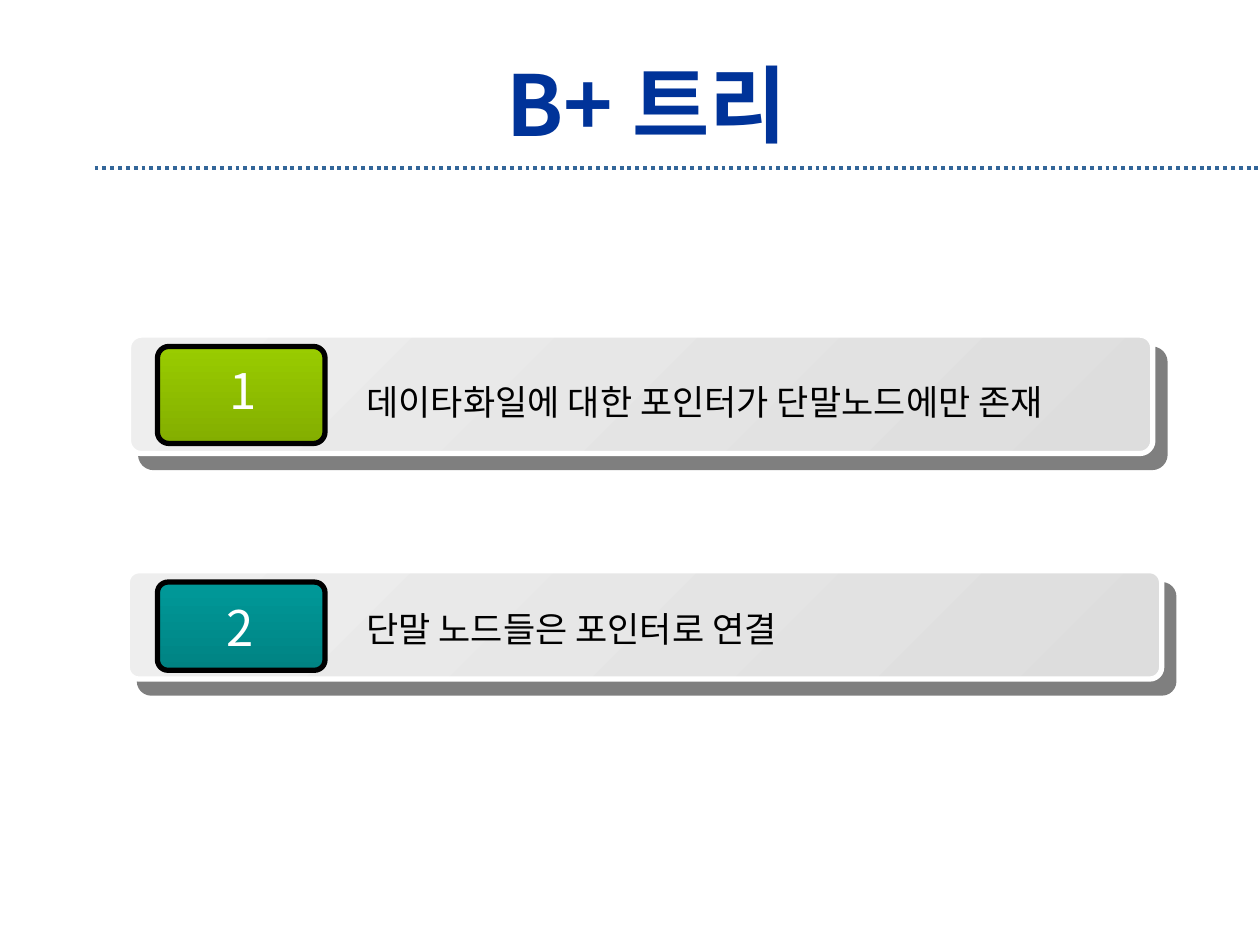
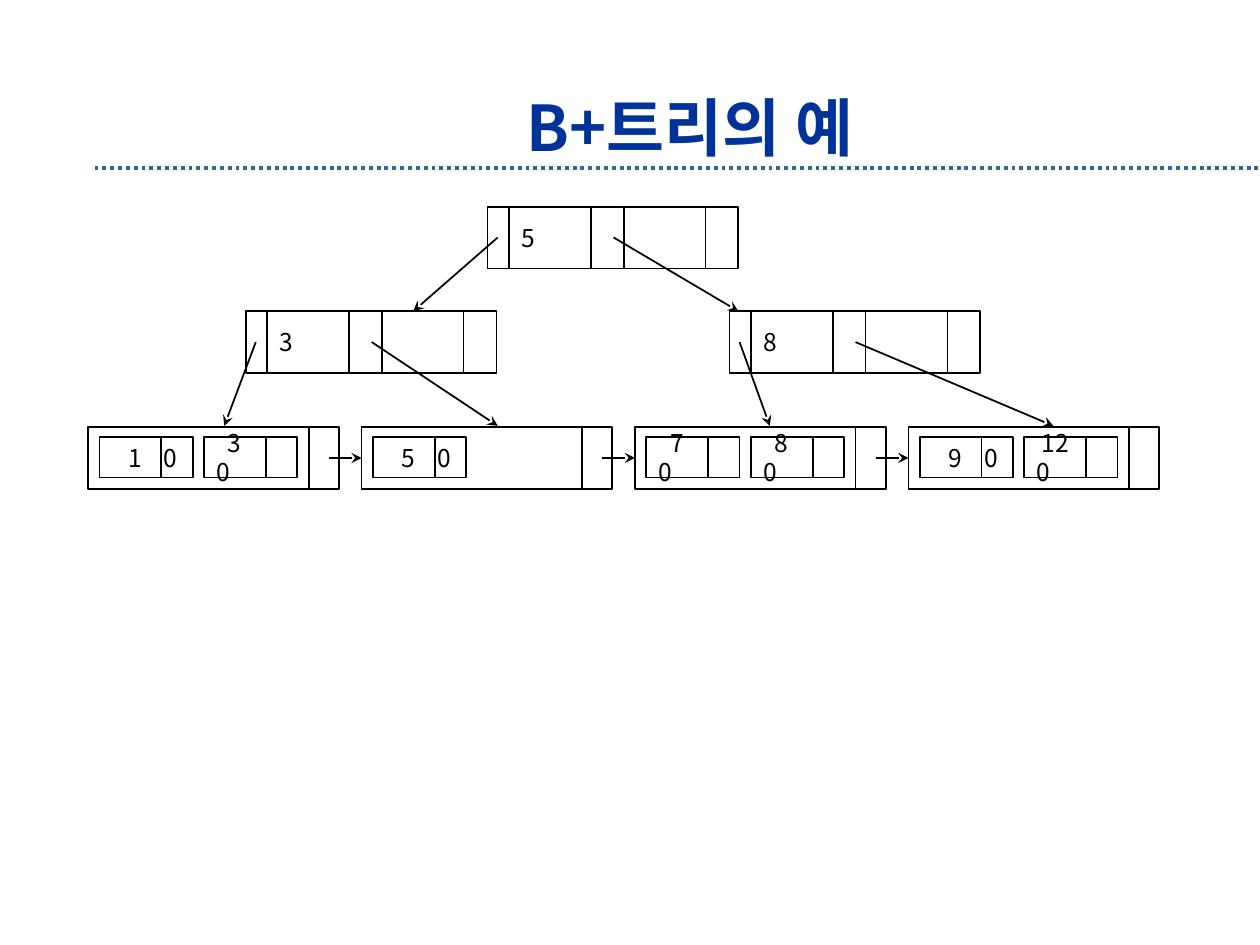
import pptx
import pptx.dml.color
import pptx.enum.dml
import pptx.enum.shapes
import pptx.enum.text
import pptx.oxml.ns
import pptx.util
from lxml import etree

Inches, Pt = pptx.util.Inches, pptx.util.Pt
KIND = pptx.enum.shapes.MSO_SHAPE
ANCHOR = pptx.enum.text.MSO_ANCHOR
ALIGN = pptx.enum.text.PP_ALIGN

# Content: titles, bars, tree
TITLES = [
    dict(text="B+ 트리", box=(0.55, 0.31, 9.17, 1.02), size="head", anchor=ANCHOR.MIDDLE),
    dict(text="B+트리의 예", box=(2.27, 0.47, 6.41, 0.63), size="subhead",
         anchor=ANCHOR.TOP, spacing=1.3),
]
BARS = [
    dict(num="1", text="데이타화일에 대한 포인터가 단말노드에만 존재", fill=("99CC00", "83AE00"),
         bar=(1.02, 2.66, 8.13, 0.94), badge=(1.25, 2.75, 1.33, 0.77),
         digit=(1.72, 2.81, 0.43, 0.34), label=(2.81, 2.97, 6.51, 0.44)),
    dict(num="2", text="단말 노드들은 포인터로 연결", fill=("009999", "008383"),
         bar=(1.01, 4.53, 8.21, 0.86), badge=(1.25, 4.62, 1.33, 0.7),
         digit=(1.7, 4.69, 0.43, 0.31), label=(2.81, 4.77, 6.51, 0.44)),
]
# Corner gleam: start point, then curves (three points) and lines (one point)
GLEAM = [(1.93, 2.62),
         [(1.86, 2.62), (1.8, 2.68), (1.8, 2.75)],
         [(1.8, 3.26)],
         [(1.83, 3.27), (1.81, 2.95), (1.98, 2.81)],
         [(2.14, 2.66), (2.46, 2.65), (2.45, 2.62)]]
# Inner nodes: key, left, top, ends of the two arrows
NODES = [
    ("5", 3.87, 1.64, [(3.28, 2.47), (5.86, 2.47)]),
    ("3", 1.95, 2.47, [(1.78, 3.38), (3.95, 3.38)]),
    ("8", 5.79, 2.47, [(6.11, 3.38), (8.36, 3.38)]),
]
# Leaf entries: key, pointer, indent of the key, tab of the pointer
LEAVES = [
    [("1", "0", 0.13, 0.37), ("3", "0", 0.09, 0.37)],
    [("5", "0", 0.13, 0.37)],
    [("7", "0", 0.09, 0.37), ("8", "0", 0.09, 0.33)],
    [("9", "0", 0.13, 0.37), ("12", "0", 0.04, 0.39)],
]

# Sizes of the tree, in inches
NODE_W, NODE_H = 1.99, 0.49
KEY_W, KEY_AT = 0.65, (0.17, 1.08)
PTR_AT = (0.08, 1.0)
LEAF_X, LEAF_Y, LEAF_STEP = 0.7, 3.39, 2.17
CELL_W, CELL_H, CELL_X, CELL_Y, CELL_STEP = 0.74, 0.32, 0.09, 0.08, 0.83
CELL_CUT, LEAF_CUT, LINK_X = 0.49, 1.75, 1.91


class Theme:
    font = "Noto Sans CJK KR"
    title, rule, ink, paper = "003399", "336699", "000000", "FFFFFF"
    bar = [(0, "EEEEEE", 100), (100, "DDDDDD", 100)]
    gleam = [(0, "D0E5B5", 100), (50, "99CC00", 0), (100, "D0E5B5", 100)]
    head, subhead, num, label, key = 48, 36, 28, 20, 14
    thin, dots, thick = 1, 2.25, 3


def rgb(code):
    return pptx.dml.color.RGBColor.from_string(code)


def sub(root, tag, **attrs):
    return etree.SubElement(root, pptx.oxml.ns.qn(tag), {k: str(v) for k, v in attrs.items()})


def put(thing, values):
    for name, value in values.items():
        setattr(thing, name, value)


def inch(box):
    return [Inches(n) for n in box]


# Text
def write(shape, text, size, color=Theme.ink, bold=False, para=None, **frame):
    tf = shape.text_frame
    put(tf, dict(word_wrap=True, vertical_anchor=ANCHOR.TOP) | frame)
    line = tf.paragraphs[0]
    put(line, dict(alignment=ALIGN.LEFT) | (para or {}))
    run = line.add_run()
    run.text = text
    put(run.font, dict(size=Pt(size), bold=bold, name=Theme.font))
    run.font.color.rgb = rgb(color)
    sub(run.font._element, "a:ea", typeface=Theme.font)
    return line


def label(shapes, box, text, size, **style):
    return write(shapes.add_textbox(*inch(box)), text, size, **style)


# Shapes
def blend(shape, stops, angle):
    shape.fill.gradient()
    grad = shape._element.spPr.find(pptx.oxml.ns.qn("a:gradFill"))
    for child in list(grad):
        grad.remove(child)
    row = sub(grad, "a:gsLst")
    for pos, code, alpha in stops:
        color = sub(sub(row, "a:gs", pos=pos * 1000), "a:srgbClr", val=code)
        if alpha < 100:
            sub(color, "a:alpha", val=alpha * 1000)
    sub(grad, "a:lin", ang=angle * 60000, scaled=0)


def block(shapes, box, kind=KIND.RECTANGLE, line=Theme.ink, width=Theme.thin):
    shape = shapes.add_shape(kind, *inch(box))
    shape.shadow.inherit = False
    shape.fill.solid()
    shape.fill.fore_color.rgb = rgb(Theme.paper)
    shape.line.color.rgb = rgb(line)
    shape.line.width = Pt(width)
    return shape


def pill(shapes, box, round_by, stops, angle, line):
    shape = block(shapes, box, KIND.ROUNDED_RECTANGLE, line, Theme.thick)
    shape.adjustments[0] = round_by
    blend(shape, stops, angle)
    return shape


def cast(shape):
    glow = shape._element.spPr.find(pptx.oxml.ns.qn("a:effectLst"))
    drop = sub(glow, "a:outerShdw", blurRad=0, dist=Pt(10.6), dir=49 * 60000,
               algn="ctr", rotWithShape=0)
    sub(sub(drop, "a:srgbClr", val=Theme.ink), "a:alpha", val=50000)


def stroke(shapes, start, end, color=Theme.ink, width=Theme.thin, head=False):
    line = shapes.add_connector(pptx.enum.shapes.MSO_CONNECTOR.STRAIGHT, *inch(start + end))
    line.line.color.rgb = rgb(color)
    line.line.width = Pt(width)
    if head:
        sub(line.line._get_or_add_ln(), "a:tailEnd", type="stealth")
    sub(line._element.spPr, "a:effectLst")
    return line


def curve(pts, steps=12):
    for i in range(1, steps + 1):
        t = i / steps
        u = 1 - t
        mix = (u ** 3, 3 * u * u * t, 3 * u * t * t, t ** 3)
        yield tuple(sum(m * p[axis] for m, p in zip(mix, pts)) for axis in (0, 1))


def gleam(shapes):
    pts = GLEAM[:1]
    for part in GLEAM[1:]:
        pts += curve([pts[-1]] + part) if len(part) == 3 else part
    pen = shapes.build_freeform(*pts[0], scale=Inches(1))
    pen.add_line_segments(pts[1:], close=True)
    shape = pen.convert_to_shape()
    shape.shadow.inherit = False
    shape.line.fill.background()
    blend(shape, Theme.gleam, 45)


# Slide parts
def start(deck, title):
    shapes = deck.slides.add_slide(deck.slide_layouts[6]).shapes
    rule = stroke(shapes, (0.75, 1.33), (10, 1.33), Theme.rule, Theme.dots)
    rule.line.dash_style = pptx.enum.dml.MSO_LINE.ROUND_DOT
    para = dict(alignment=ALIGN.CENTER, line_spacing=title.get("spacing"))
    label(shapes, title["box"], title["text"], getattr(Theme, title["size"]),
          color=Theme.title, bold=True, para=para, vertical_anchor=title["anchor"])
    return shapes


def bar(shapes, row):
    group = shapes.add_group_shape().shapes
    cast(pill(group, row["bar"], 0.109, Theme.bar, 45, Theme.paper))
    top, base = row["fill"]
    pill(group, row["badge"], 0.119, [(0, top, 100), (100, base, 100)], 90, Theme.ink)
    grow = dict(auto_size=pptx.enum.text.MSO_AUTO_SIZE.SHAPE_TO_FIT_TEXT)
    label(group, row["digit"], row["num"], Theme.num, color=Theme.paper, word_wrap=False, **grow)
    label(shapes, row["label"], row["text"], Theme.label, **grow)


def node(shapes, key, x, y):
    block(shapes, (x, y, NODE_W, NODE_H))
    first, _ = [block(shapes, (x + dx, y, KEY_W, NODE_H)) for dx in KEY_AT]
    write(first, key, Theme.key, word_wrap=False, vertical_anchor=ANCHOR.MIDDLE)


def leaf(shapes, x, cells):
    frame = block(shapes, (x, LEAF_Y, NODE_W, NODE_H))
    y = LEAF_Y + CELL_Y
    for i, (key, ptr, indent, tab) in enumerate(cells):
        left = x + CELL_X + i * CELL_STEP
        cell = block(shapes, (left, y, CELL_W, CELL_H))
        line = write(cell, f"{key}\t{ptr}", Theme.key, vertical_anchor=ANCHOR.MIDDLE)
        props = line._p.get_or_add_pPr()
        props.set("marL", "0")
        props.set("indent", str(Inches(indent)))
        sub(sub(props, "a:tabLst"), "a:tab", pos=Inches(tab), algn="l")
        cut = left + CELL_CUT
        stroke(shapes, (cut, y), (cut, y + CELL_H))
    cut = x + LEAF_CUT
    stroke(shapes, (cut, LEAF_Y), (cut, LEAF_Y + NODE_H))
    return frame


def tree(shapes):
    for key, x, y, _ in NODES:
        node(shapes, key, x, y)
    lefts = [LEAF_X + i * LEAF_STEP for i in range(len(LEAVES))]
    frames = [leaf(shapes, x, cells) for x, cells in zip(lefts, LEAVES)]
    # Arrows down to the children
    for _, x, y, ends in NODES:
        for dx, end in zip(PTR_AT, ends):
            stroke(shapes, (x + dx, y + NODE_H / 2), end, head=True)
    # Chain from leaf to leaf
    mid = LEAF_Y + NODE_H / 2
    for x, after, frame in zip(lefts, lefts[1:], frames[1:]):
        link = stroke(shapes, (x + LINK_X, mid), (after, mid), head=True)
        link.end_connect(frame, 1)


def main():
    deck = pptx.Presentation()
    put(deck, dict(slide_width=Inches(10), slide_height=Inches(7.5)))
    shapes = start(deck, TITLES[0])
    gleam(shapes)
    for row in BARS:
        bar(shapes, row)
    tree(start(deck, TITLES[1]))
    deck.save("out.pptx")


if __name__ == "__main__":
    main()
